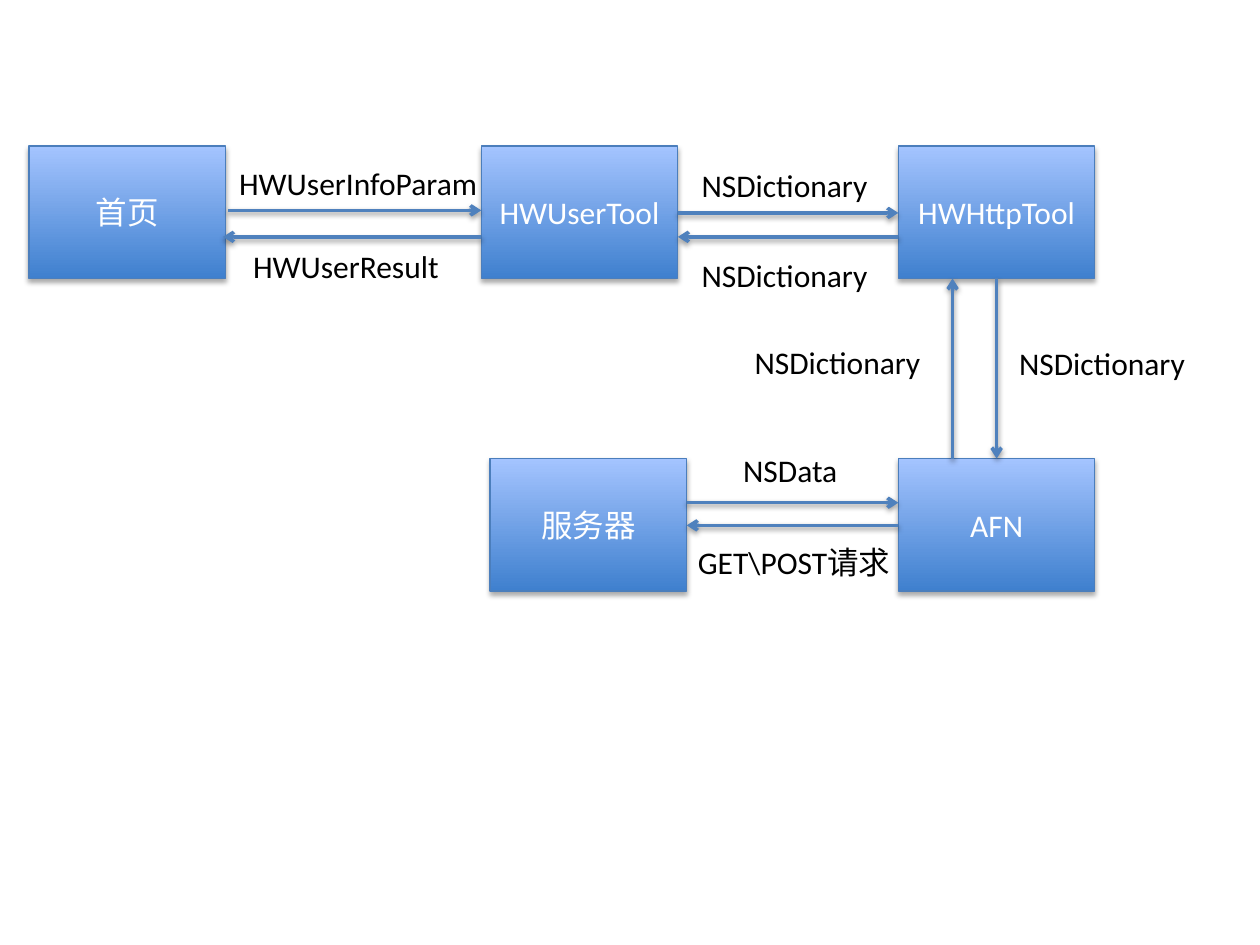
from dataclasses import dataclass

from lxml import etree
from pptx import Presentation
from pptx.dml.color import RGBColor
from pptx.enum.shapes import MSO_CONNECTOR, MSO_SHAPE
from pptx.enum.text import MSO_ANCHOR, PP_ALIGN
from pptx.oxml.ns import qn
from pptx.util import Inches, Pt

RECT = MSO_SHAPE.RECTANGLE
LINE = MSO_CONNECTOR.STRAIGHT
MIDDLE = MSO_ANCHOR.MIDDLE
CENTER = PP_ALIGN.CENTER


@dataclass(frozen=True)
class Theme:
    font: str = "Calibri"
    size: float = 18
    white: str = "FFFFFF"
    black: str = "000000"
    low: str = "3F80CE"
    high: str = "A4C4FF"
    edge: str = "4B7EBC"
    arrow: str = "4F81BD"


@dataclass(frozen=True)
class Node:
    text: str
    left: float
    top: float


@dataclass(frozen=True)
class Flow:
    start: tuple[float, float]
    end: tuple[float, float]
    text: str
    left: float
    top: float
    width: float


THEME = Theme()
WIDE, HIGH = 1.56, 1.05
LABEL = 0.4

# Columns and rows of the node grid
HOME, USER, HTTP, SERVER = 0.23, 3.82, 7.13, 3.89
UPPER, LOWER = 1.16, 3.64
BASE = UPPER + HIGH
DICT, DICT_W = "NSDictionary", 1.53

NODES = [
    Node("首页", HOME, UPPER),
    Node("HWUserTool", USER, UPPER),
    Node("HWHttpTool", HTTP, UPPER),
    Node("AFN", HTTP, LOWER),
    Node("服务器", SERVER, LOWER),
]

FLOWS = [
    Flow((1.81, 1.67), (USER, 1.67), "HWUserInfoParam", 1.8, 1.25, 2.13),
    Flow((USER + WIDE, 1.69), (HTTP, 1.69), DICT, 5.47, 1.27, DICT_W),
    Flow((7.91, BASE), (7.91, LOWER), DICT, 7.99, 2.68, DICT_W),
    Flow((HTTP, 4.17), (SERVER + WIDE, 4.17), "GET\\POST请求", 5.44, 4.26, 1.75),
    Flow((SERVER + WIDE, 3.99), (HTTP, 3.99), "NSData", 5.8, 3.53, 0.96),
    Flow((7.56, LOWER), (7.56, BASE), DICT, 5.89, 2.67, DICT_W),
    Flow((HTTP, 1.88), (USER + WIDE, 1.88), DICT, 5.47, 1.98, DICT_W),
    Flow((USER, 1.88), (1.77, 1.88), "HWUserResult", 1.91, 1.91, 1.69),
]


def color(code: str) -> RGBColor:
    return RGBColor.from_string(code)


def write(frame, text: str, ink: str) -> None:
    frame.word_wrap = True
    para = frame.paragraphs[0]
    para.text = text
    para.font.name = THEME.font
    para.font.size = Pt(THEME.size)
    para.font.color.rgb = color(ink)


def shade(shape, drop: float, alpha: int) -> None:
    """Give a shape or connector a soft shadow straight below it."""
    effects = etree.SubElement(shape.element.spPr, qn("a:effectLst"))
    outer = etree.SubElement(
        effects, qn("a:outerShdw"), blurRad=str(Pt(3.1)), dist=str(Pt(drop)),
        dir=str(90 * 60000), rotWithShape="0")
    tone = etree.SubElement(outer, qn("a:srgbClr"), val=THEME.black)
    etree.SubElement(tone, qn("a:alpha"), val=str(alpha * 1000))


def draw_node(slide, node: Node) -> None:
    box = slide.shapes.add_shape(
        RECT, Inches(node.left), Inches(node.top), Inches(WIDE), Inches(HIGH))
    box.fill.gradient()
    box.fill.gradient_angle = 90
    for stop, code in zip(box.fill.gradient_stops, (THEME.low, THEME.high)):
        stop.color.rgb = color(code)
    box.line.color.rgb = color(THEME.edge)
    box.line.width = Pt(0.75)
    shade(box, 1.8, 35)
    write(box.text_frame, node.text, THEME.white)
    box.text_frame.vertical_anchor = MIDDLE
    box.text_frame.paragraphs[0].alignment = CENTER


def draw_flow(slide, flow: Flow) -> None:
    ends = [Inches(value) for value in flow.start + flow.end]
    arrow = slide.shapes.add_connector(LINE, *ends)
    arrow.line.color.rgb = color(THEME.arrow)
    arrow.line.width = Pt(2)
    stroke = arrow.element.spPr.find(qn("a:ln"))
    etree.SubElement(stroke, qn("a:tailEnd"), type="arrow")
    shade(arrow, 1.6, 38)

    label = slide.shapes.add_textbox(
        Inches(flow.left), Inches(flow.top), Inches(flow.width), Inches(LABEL))
    write(label.text_frame, flow.text, THEME.black)


def main() -> None:
    deck = Presentation()
    deck.slide_width, deck.slide_height = Inches(10), Inches(7.5)
    slide = deck.slides.add_slide(deck.slide_layouts[6])

    # Boxes first, then the arrows with their labels
    for node in NODES:
        draw_node(slide, node)
    for flow in FLOWS:
        draw_flow(slide, flow)
    deck.save("out.pptx")


main()
